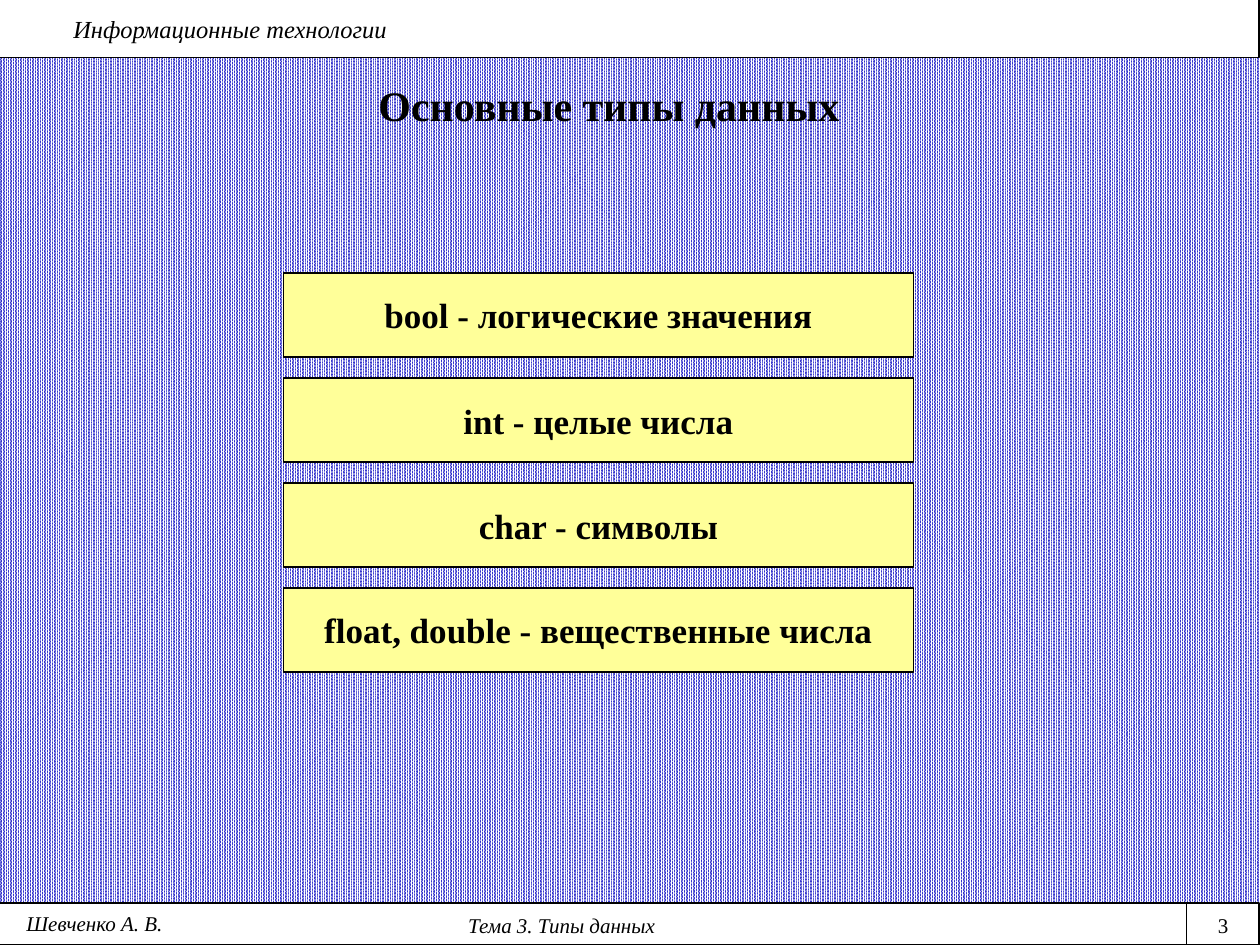
from dataclasses import dataclass
from typing import Any

from lxml import etree
from pptx import Presentation
from pptx import util as u
from pptx.dml.color import RGBColor
from pptx.enum import dml, shapes, text
from pptx.oxml.ns import qn

BLACK = RGBColor(0x00, 0x00, 0x00)
WHITE = RGBColor(0xFF, 0xFF, 0xFF)
BLUE = RGBColor(0x33, 0x33, 0xCC)
YELLOW = RGBColor(0xFF, 0xFF, 0x99)

COLUMNS, ROWS = 120, 90
CELL = u.Inches(10) // COLUMNS
LEFT, CENTER = text.PP_ALIGN.LEFT, text.PP_ALIGN.CENTER


def grid(*cells):
    """Turn grid columns and rows into lengths."""
    return [u.Emu(round(cell * CELL)) for cell in cells]


@dataclass
class SlideBuilder:
    page: Any
    font: str = "Times New Roman"
    ink: RGBColor = BLACK

    def background(self, front, back):
        fill = self.page.background.fill
        fill.patterned()
        fill.pattern = dml.MSO_PATTERN.PERCENT_90
        fill.fore_color.rgb = front
        fill.back_color.rgb = back

    def add_words(self, box, words, size, align=CENTER, bold=False, italic=False):
        frame = box.text_frame
        frame.word_wrap = True
        para = frame.paragraphs[0]
        para.alignment = align
        span = para.add_run()
        span.text = words
        span.font.name = self.font
        span.font.size = u.Pt(size)
        span.font.bold = bold
        span.font.italic = italic
        span.font.color.rgb = self.ink

    def title(self, words, area, size):
        box = self.page.shapes.title
        box.left, box.top, box.width, box.height = grid(*area)
        box.text_frame.auto_size = text.MSO_AUTO_SIZE.NONE
        box.text_frame.vertical_anchor = text.MSO_ANCHOR.MIDDLE
        self.add_words(box, words, size, bold=True)

    def label(self, words, area, size, **style):
        box = self.page.shapes.add_textbox(*grid(*area))
        self.add_words(box, words, size, **style)

    def panel(self, area, color, line_width):
        box = self.page.shapes.add_shape(shapes.MSO_SHAPE.RECTANGLE, *grid(*area))
        box.shadow.inherit = False
        box.fill.solid()
        box.fill.fore_color.rgb = color
        box.line.color.rgb = self.ink
        box.line.width = u.Pt(line_width)
        return box

    def card(self, words, area, size):
        box = self.panel(area, YELLOW, 1)
        box.text_frame.vertical_anchor = text.MSO_ANCHOR.MIDDLE
        self.add_words(box, words, size, bold=True)

    def line(self, start, end, width):
        line = self.page.shapes.add_connector(
            shapes.MSO_CONNECTOR.STRAIGHT, *grid(*start, *end))
        line.line.color.rgb = self.ink
        line.line.width = u.Pt(width)
        etree.SubElement(line._element.spPr, qn("a:effectLst"))


def main():
    deck = Presentation()
    deck.slide_width, deck.slide_height = grid(COLUMNS, ROWS)
    slide = SlideBuilder(deck.slides.add_slide(deck.slide_layouts[5]))
    slide.background(WHITE, BLUE)

    footer_top, number_left = 86, 113
    slide.panel((-0.1, footer_top, COLUMNS, 4), WHITE, 0.75)
    slide.panel((-0.1, -0.1, COLUMNS, 5.6), WHITE, 0.75)
    slide.label("Информационные технологии", (5.8, 0.7, 113, 4), 14,
                align=LEFT, italic=True)
    slide.label("Тема 3. Типы данных", (0, 86.3, 107, 3.6), 12, italic=True)
    slide.label("3", (number_left, 86.3, 7, 3.6), 12)
    slide.line((number_left, footer_top), (number_left, ROWS), 0.75)
    slide.label("Шевченко А. В.", (0, 86.1, 18, 3.6), 12, italic=True)

    slide.title("Основные типы данных", (3, 7, 110, 6), 24)
    data_types = (
        "bool - логические значения",
        "int - целые числа",
        "char - символы",
        "float, double - вещественные числа",
    )
    for index, data_type in enumerate(data_types):
        slide.card(data_type, (27, 26 + 10 * index, 60, 8), 20)

    deck.save("out.pptx")


if __name__ == "__main__":
    main()
